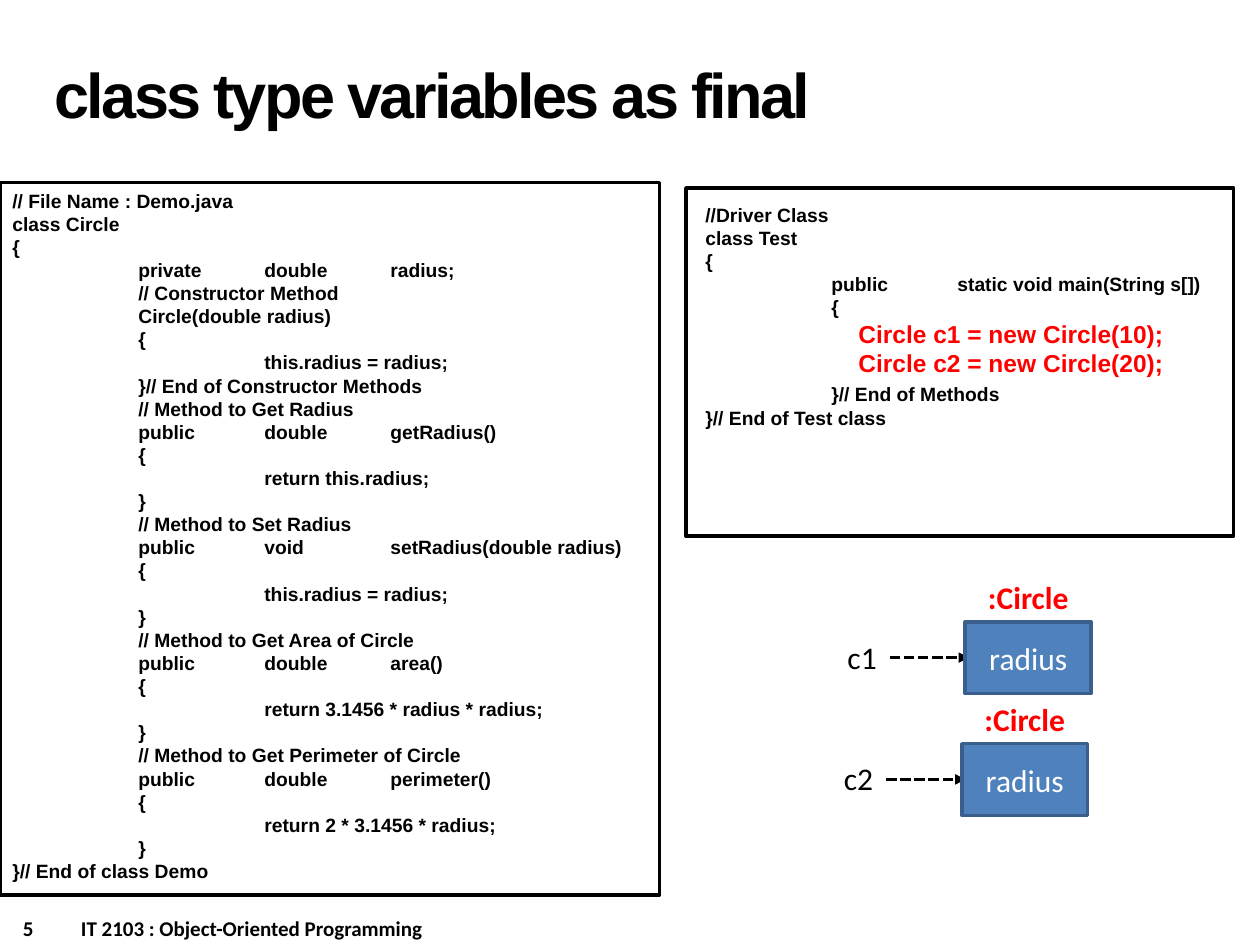
from lxml import etree
from pptx import Presentation
from pptx.dml.color import RGBColor
from pptx.enum.dml import MSO_LINE
from pptx.enum.shapes import MSO_CONNECTOR, MSO_SHAPE
from pptx.enum.text import MSO_ANCHOR, PP_ALIGN
from pptx.oxml.ns import qn
from pptx.util import Pt

RECT, STRAIGHT = MSO_SHAPE.RECTANGLE, MSO_CONNECTOR.STRAIGHT
CENTER, MIDDLE, TOP = PP_ALIGN.CENTER, MSO_ANCHOR.MIDDLE, MSO_ANCHOR.TOP
SYS_DASH = MSO_LINE.SQUARE_DOT
BLACK, RED, WHITE = "000000", "FF0000", "FFFFFF"
BLUE, DARK_BLUE = "4F81BD", "3A5F8C"

CODE = {"size": Pt(11), "name": "Arial", "bold": True}
CALL = {"size": Pt(14), "name": "Arial", "bold": True}
TITLE = {"size": Pt(36), "name": "Arial", "bold": True}
FOOTER = {"size": Pt(12), "name": "Calibri", "bold": True}
LABEL = {"size": Pt(18), "name": "Calibri", "bold": False}
OBJECT = {"size": Pt(18), "name": "Calibri", "bold": True}
CODE_TABS = [72, 144, 216]

CIRCLE_CODE = [
    "// File Name : Demo.java",
    "class Circle",
    "{",
    "\tprivate\tdouble\tradius;",
    "\t// Constructor Method",
    "\tCircle(double radius)",
    "\t{",
    "\t\tthis.radius = radius;",
    "\t}// End of Constructor Methods",
    "\t// Method to Get Radius",
    "\tpublic\tdouble\tgetRadius()",
    "\t{",
    "\t\treturn this.radius;",
    "\t}",
    "\t// Method to Set Radius",
    "\tpublic\tvoid\tsetRadius(double radius)",
    "\t{",
    "\t\tthis.radius = radius;",
    "\t}",
    "\t// Method to Get Area of Circle",
    "\tpublic\tdouble\tarea()",
    "\t{",
    "\t\treturn 3.1456 * radius * radius;",
    "\t}",
    "\t// Method to Get Perimeter of Circle",
    "\tpublic\tdouble\tperimeter()",
    "\t{",
    "\t\treturn 2 * 3.1456 * radius;",
    "\t}",
    "}// End of class Demo",
]
DRIVER_CODE = [
    "//Driver Class",
    "class Test",
    "{",
    "\tpublic\tstatic void main(String s[])",
    "\t{",
    "Circle c1 = new Circle(10);",
    "Circle c2 = new Circle(20);",
    "\t}// End of Methods",
    "}// End of Test class",
]

prs = Presentation()
prs.slide_width, prs.slide_height = Pt(720), Pt(540)
s = prs.slides.add_slide(prs.slide_layouts[6])


def rgb(value):
    """Turn a hex string into a colour."""
    return RGBColor.from_string(value)


def write(sp, lines, fmt, color=BLACK, align=None, anchor=TOP, wrap=True, tabs=()):
    """Fill a shape with one paragraph per line and return the paragraphs."""
    tf = sp.text_frame
    tf.word_wrap, tf.vertical_anchor = wrap, anchor
    for i, line in enumerate(lines):
        p = tf.add_paragraph() if i else tf.paragraphs[0]
        p.alignment = align
        if tabs:
            tab_list = etree.SubElement(p._p.get_or_add_pPr(), qn("a:tabLst"))
            for stop in tabs:
                etree.SubElement(tab_list, qn("a:tab"), pos=str(Pt(stop)), algn="l")
        r = p.add_run()
        r.text = line
        r.font.color.rgb = rgb(color)
        for key, value in fmt.items():
            setattr(r.font, key, value)
    return tf.paragraphs


# Footer: the page number and the course name share a line, split by a tab stop
footer = s.shapes.add_textbox(Pt(6), Pt(519.4), Pt(360), Pt(21.8))
write(footer, ["5\tIT 2103 : Object-Oriented Programming"], FOOTER, tabs=[33.2])

# Title
title = s.shapes.add_textbox(Pt(24), Pt(12), Pt(498), Pt(90))
p = write(title, ["class type variables as final"], TITLE, anchor=MIDDLE)[0]
p.line_spacing = Pt(36)
p.runs[0].font._element.set("spc", "-150")

# Code listings, each with its frame
circle = s.shapes.add_textbox(Pt(0), Pt(104.4), Pt(366), Pt(407))
write(circle, CIRCLE_CODE, CODE, tabs=CODE_TABS)
driver = s.shapes.add_textbox(Pt(396), Pt(112.6), Pt(309), Pt(138))
driver_lines = write(driver, DRIVER_CODE, CODE, tabs=CODE_TABS)
for p in driver_lines[5:7]:
    p._p.get_or_add_pPr().set("marL", str(Pt(87.4)))
    p.runs[0].font.color.rgb = rgb(RED)
    for key, value in CALL.items():
        setattr(p.runs[0].font, key, value)
driver_lines[7].space_before, driver_lines[7].space_after = Pt(2.6), Pt(0.8)

for box in [(0, 104.4, 377, 407), (392, 107.4, 313, 199)]:
    frame = s.shapes.add_shape(RECT, *map(Pt, box))
    frame.shadow.inherit = False
    frame.fill.background()
    frame.line.color.rgb, frame.line.width = rgb(BLACK), Pt(2)

# Object diagrams: variable, dashed arrow, object box and its class name
for name, x, y in [("c1", 477.2, 360.8), ("c2", 475.2, 430.4)]:
    variable = s.shapes.add_textbox(Pt(x), Pt(y), Pt(31.4), Pt(29))
    write(variable, [name], LABEL, wrap=False)

    arrow = s.shapes.add_connector(
        STRAIGHT, Pt(x + 31.2), Pt(y + 15), Pt(x + 76.6), Pt(y + 15))
    arrow.line.color.rgb, arrow.line.width = rgb(BLACK), Pt(2)
    arrow.line.dash_style = SYS_DASH
    etree.SubElement(arrow.line._get_or_add_ln(), qn("a:tailEnd"), type="triangle")
    etree.SubElement(arrow._element.spPr, qn("a:effectLst"))

    field = s.shapes.add_shape(RECT, Pt(x + 74.4), Pt(y - 5.4), Pt(72), Pt(41))
    field.shadow.inherit = False
    field.fill.solid()
    field.fill.fore_color.rgb = rgb(BLUE)
    field.line.color.rgb, field.line.width = rgb(DARK_BLUE), Pt(2)
    write(field, ["radius"], LABEL, WHITE, CENTER, MIDDLE)

    class_name = s.shapes.add_textbox(Pt(x + 74.4), Pt(y - 34), Pt(72), Pt(29))
    write(class_name, [":Circle"], OBJECT, RED, CENTER)

prs.save("out.pptx")
